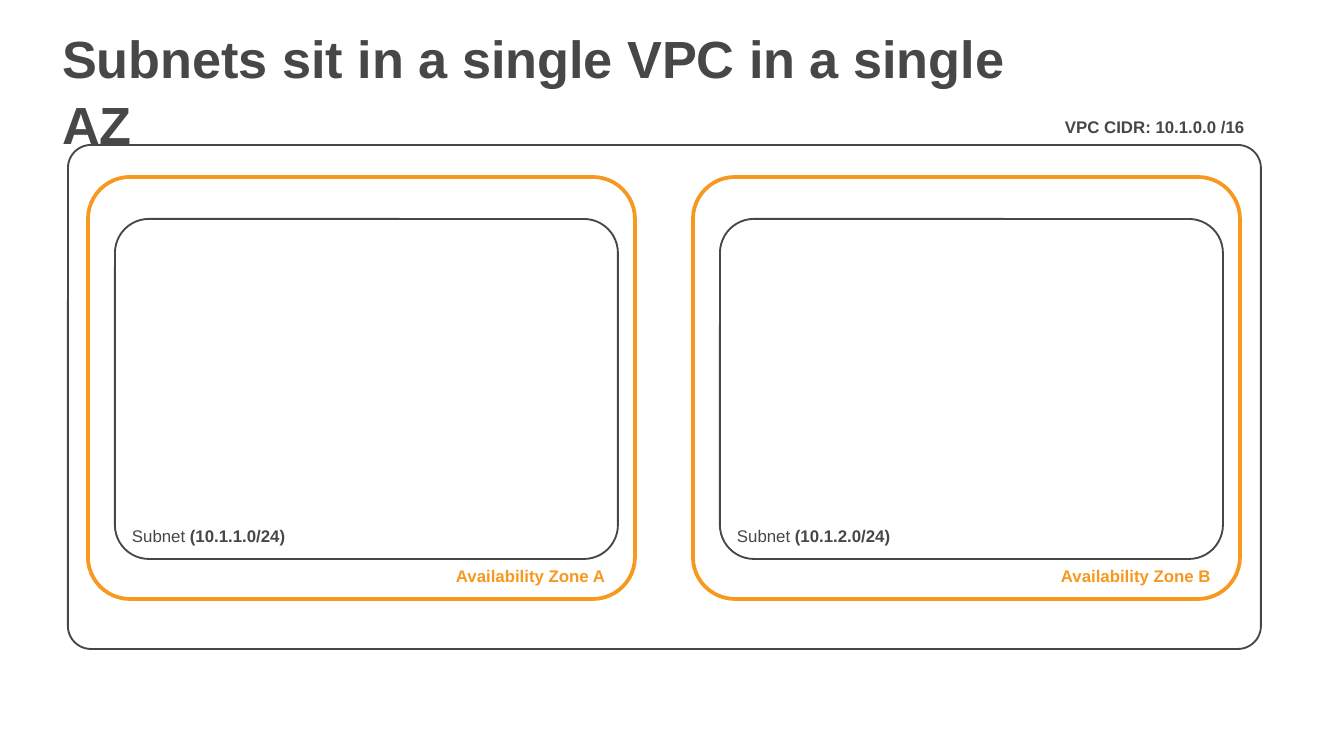
import pptx
import pptx.util
import pptx.dml.color
import pptx.enum.shapes
import pptx.enum.text

PX = 914400 / 134.4
COLORS = {"ink": "474746", "zone": "F7981F"}
FONT = "Arial"
LABEL_HEIGHT = 24
ZONE_PITCH = 605


def emu(px):
    return pptx.util.Emu(round(px * PX))


def rgb(color):
    return pptx.dml.color.RGBColor.from_string(COLORS[color])


def fill_text(shape, pieces, size, color):
    frame = shape.text_frame
    frame.word_wrap = True
    frame.auto_size = pptx.enum.text.MSO_AUTO_SIZE.NONE
    frame.vertical_anchor = pptx.enum.text.MSO_ANCHOR.TOP
    frame.margin_left = emu(1)
    frame.margin_top = emu(3)
    frame.margin_right = frame.margin_bottom = 0
    para = frame.paragraphs[0]
    para.alignment = pptx.enum.text.PP_ALIGN.LEFT
    for text, bold in pieces:
        span = para.add_run()
        span.text = text
        span.font.name = FONT
        span.font.size = pptx.util.Pt(size)
        span.font.bold = bold
        span.font.color.rgb = rgb(color)
    return para


def add_label(page, left, top, width, pieces, color):
    box = page.shapes.add_textbox(emu(left), emu(top), emu(width), emu(LABEL_HEIGHT))
    fill_text(box, pieces, 9, color)


def add_outline(page, left, top, width, height, radius, color, weight):
    outline = page.shapes.add_shape(
        pptx.enum.shapes.MSO_SHAPE.ROUNDED_RECTANGLE,
        emu(left), emu(top), emu(width), emu(height))
    outline.adjustments[0] = radius / min(width, height)
    outline.shadow.inherit = False
    outline.fill.background()
    outline.line.color.rgb = rgb(color)
    outline.line.width = pptx.util.Pt(weight)


def add_title(page, left, top, width, height, text):
    title = page.shapes.title
    title.left, title.top = emu(left), emu(top)
    title.width, title.height = emu(width), emu(height)
    para = fill_text(title, [(text, True)], 28, "ink")
    para.line_spacing = 1.05


def add_vpc(page, left, top, width, height):
    add_outline(page, left, top, width, height, 23, "ink", 1)
    add_label(page, left + width - 197, top - 31, 187,
              [("VPC CIDR: 10.1.0.0 /16", True)], "ink")


def add_subnet(page, left, top, width, height, cidr):
    add_outline(page, left, top, width, height, 34, "ink", 1)
    add_label(page, left + 16, top + height - 36, 165,
              [("Subnet ", False), (f"({cidr})", True)], "ink")


def add_zone(page, left, top, width, height, name, cidr):
    add_outline(page, left, top, width, height, 42, "zone", 2)
    add_subnet(page, left + 27, top + 42, width - 44, height - 82, cidr)
    add_label(page, left + width - 180, top + height - 36, 165,
              [(f"Availability Zone {name}", True)], "zone")


def main():
    deck = pptx.Presentation()
    deck.slide_width, deck.slide_height = emu(1344), emu(756)
    page = deck.slides.add_slide(deck.slide_layouts[5])
    add_title(page, 61, 20, 1020, 66, "Subnets sit in a single VPC in a single AZ")
    add_vpc(page, 68, 145, 1193, 504)
    zones = [("A", "10.1.1.0/24"), ("B", "10.1.2.0/24")]
    for index, (name, cidr) in enumerate(zones):
        add_zone(page, 88 + index * ZONE_PITCH, 177, 547, 422, name, cidr)
    deck.save("out.pptx")


if __name__ == "__main__":
    main()
